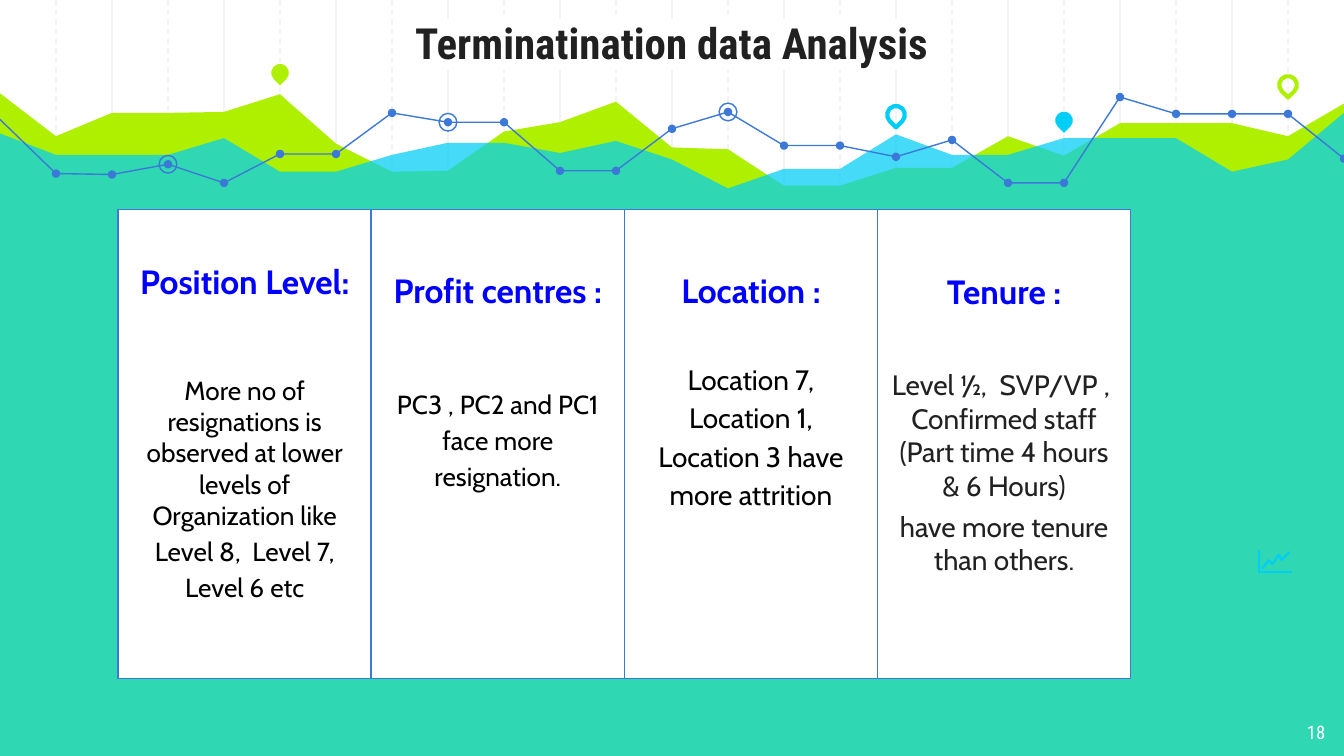
from lxml.etree import SubElement
from pptx import Presentation
from pptx.dml.color import RGBColor
from pptx.enum.dml import MSO_LINE
from pptx.enum.shapes import MSO_CONNECTOR, MSO_SHAPE
from pptx.enum.text import MSO_ANCHOR as ANCHOR, PP_ALIGN as ALIGN
from pptx.oxml.ns import qn
from pptx.util import Pt

COLORS = {
    "white": "FFFFFF", "grid": "F3F3F3", "lime": "AFF000", "cyan": "00CEF6",
    "line": "3C78D8", "dark": "212121", "heading": "0000FF", "black": "000000",
}
TITLE_FONT, BODY_FONT = "Roboto Condensed", "Cabin"
WIDTH, HEIGHT, STEP = 720, 405, 30

# Heights of the decorative series, one every STEP points
LIME_Y = [50, 73, 60.5, 60.5, 60, 50.5, 77, 92, 91.5, 70.5, 65.5, 54.5, 79,
          80, 99.5, 99.5, 90, 90, 73, 83.5, 66, 66, 66, 73, 55.5]
CYAN_Y = [71.5, 83, 83, 83, 74, 92, 92, 83, 76.5, 76.5, 82, 75.5, 85.5,
          101, 90.5, 90.5, 72, 83, 83, 74, 74, 74, 92, 85.5, 60.5]
LINE_Y = [64, 93, 93.5, 88, 98, 82.5, 82.5, 60.5, 65.5, 65.5, 91.5, 91.5, 69,
          60, 78, 78, 84, 75, 98, 98, 52, 61, 61, 61, 85]
RINGED = [3, 8, 13]
# step, y, colour, filled
PINS = [(5, 39, "lime", True), (16, 61.5, "cyan", False),
        (19, 64.5, "cyan", True), (23, 45.5, "lime", False)]

AXES = [(674.5, 294.5), (674.5, 306.5), (692, 306.5)]
TREND = [(676, 304.8), (679.7, 300.2), (681.6, 302.2),
         (685.1, 297.3), (686.6, 300), (690.7, 295.7)]

# heading, top inset, body size, body colour, paragraphs (text, space before, line spacing)
CARDS = [
    ("Position Level:", 27.5, 14, "black", [
        ("More no of resignations is observed at lower levels of Organization like", 39, 1),
        ("Level 8,  Level 7, Level 6 etc", 0, 1.15)]),
    ("Profit centres :", 32.4, 14, "black", [
        ("PC3 , PC2 and PC1 face more resignation.", 39, 1.15)]),
    ("Location :", 32.4, 15, "black", [
        ("Location 7, Location 1, Location 3 have more attrition", 25, 1.15)]),
    ("Tenure :", 33, 15, "dark", [
        ("Level ½,  SVP/VP ,  Confirmed staff (Part time 4 hours & 6 Hours)", 30, 1),
        ("have more tenure than others.", 4, 1)]),
]


def rgb(name):
    return RGBColor.from_string(COLORS[name])


def paint(sp, fill=None, line=None, weight=0.75):
    sp.shadow.inherit = False
    if fill:
        sp.fill.solid()
        sp.fill.fore_color.rgb = rgb(fill)
    else:
        sp.fill.background()
    if line:
        sp.line.color.rgb = rgb(line)
        sp.line.width = Pt(weight)
    else:
        sp.line.fill.background()


def add_run(p, text, size, font, color, bold=False):
    r = p.add_run()
    r.text = text
    r.font.size = Pt(size)
    r.font.bold = bold
    r.font.color.rgb = rgb(color)
    r.font.name = font
    return r


def add_gridline(slide, x, dashed):
    line = slide.shapes.add_connector(MSO_CONNECTOR.STRAIGHT, Pt(x), Pt(0), Pt(x), Pt(HEIGHT))
    line.line.color.rgb = rgb("grid")
    line.line.width = Pt(0.75)
    if dashed:
        line.line.dash_style = MSO_LINE.DASH
    SubElement(line._element.spPr, qn("a:effectLst"))


def add_path(slide, points, closed=False):
    start, *rest = [(Pt(x), Pt(y)) for x, y in points]
    builder = slide.shapes.build_freeform(*start)
    builder.add_line_segments(rest, close=closed)
    return builder.convert_to_shape()


def series(heights):
    return [(i * STEP, y) for i, y in enumerate(heights)]


def add_area(slide, heights, color, opacity=None):
    area = add_path(slide, series(heights) + [(WIDTH, HEIGHT), (0, HEIGHT)], closed=True)
    paint(area, fill=color)
    if opacity:
        clr = area._element.spPr.find(qn("a:solidFill"))[0]
        SubElement(clr, qn("a:alpha"), val=str(opacity * 1000))


def add_mark(slide, kind, x, y, size):
    """Add a preset shape centred on (x, y)."""
    return slide.shapes.add_shape(kind, Pt(x - size / 2), Pt(y - size / 2), Pt(size), Pt(size))


def add_line_series(slide):
    points = series(LINE_Y)
    paint(add_path(slide, points), line="line")
    for x, y in points[1:]:
        paint(add_mark(slide, MSO_SHAPE.OVAL, x, y, 4.5), fill="line")
    for i in RINGED:
        paint(add_mark(slide, MSO_SHAPE.OVAL, *points[i], 9.5), line="line")


def add_pin(slide, step, y, color, filled):
    pin = add_mark(slide, MSO_SHAPE.TEAR, step * STEP, y, 9.5)
    pin.rotation = 135
    if filled:
        paint(pin, fill=color)
    else:
        paint(pin, line=color, weight=2.25)


def add_backdrop(slide):
    for x in range(STEP, WIDTH, STEP):
        add_gridline(slide, x, dashed=x % (2 * STEP) != 0)
    add_area(slide, LIME_Y, "lime")
    add_area(slide, CYAN_Y, "cyan", opacity=73)
    add_line_series(slide)
    for pin in PINS:
        add_pin(slide, *pin)


def set_title(slide, text):
    title = slide.shapes.title
    slide.shapes._spTree.append(title._element)  # in front of the backdrop
    title.left, title.top, title.width, title.height = Pt(21), Pt(6), Pt(678), Pt(33)
    tf = title.text_frame
    tf.margin_top = tf.margin_bottom = 0
    tf.vertical_anchor = ANCHOR.MIDDLE
    p = tf.paragraphs[0]
    p.alignment = ALIGN.CENTER
    r = add_run(p, text, 23, TITLE_FONT, "dark", bold=True)
    highlight = SubElement(r._r.rPr, qn("a:highlight"))
    SubElement(highlight, qn("a:srgbClr"), val=COLORS["white"])
    r._r.rPr.find(qn("a:solidFill")).addnext(highlight)


def add_page_number(slide, number):
    tf = slide.shapes.add_textbox(Pt(674), Pt(380), Pt(43), Pt(25)).text_frame
    tf.word_wrap = True
    tf.margin_left = tf.margin_right = tf.margin_top = tf.margin_bottom = Pt(7.2)
    p = tf.paragraphs[0]
    p.alignment = ALIGN.RIGHT
    add_run(p, number, 10, TITLE_FONT, "white")


def add_card(slide, x, heading, inset, size, color, paragraphs):
    card = slide.shapes.add_shape(MSO_SHAPE.RECTANGLE, Pt(x), Pt(112.3), Pt(135.8), Pt(251.3))
    paint(card, fill="white", line="line")
    tf = card.text_frame
    tf.word_wrap = True
    tf.vertical_anchor = ANCHOR.TOP
    tf.margin_left = tf.margin_right = tf.margin_bottom = Pt(7.2)
    tf.margin_top = Pt(inset)
    p = tf.paragraphs[0]
    p.alignment = ALIGN.CENTER
    add_run(p, heading, 18, BODY_FONT, "heading", bold=True)
    for text, before, spacing in paragraphs:
        p = tf.add_paragraph()
        p.alignment = ALIGN.CENTER
        p.space_before = Pt(before)
        p.line_spacing = float(spacing)
        add_run(p, text, size, BODY_FONT, color)


def main():
    prs = Presentation()
    prs.slide_width, prs.slide_height = Pt(WIDTH), Pt(HEIGHT)
    slide = prs.slides.add_slide(prs.slide_layouts[5])
    add_backdrop(slide)
    set_title(slide, "Terminatination data Analysis")
    add_page_number(slide, "18")
    for i, card in enumerate(CARDS):
        add_card(slide, 63.2 + i * 135.6, *card)
    for points in (AXES, TREND):
        paint(add_path(slide, points), line="cyan", weight=1.2)
    prs.save("out.pptx")


if __name__ == "__main__":
    main()
